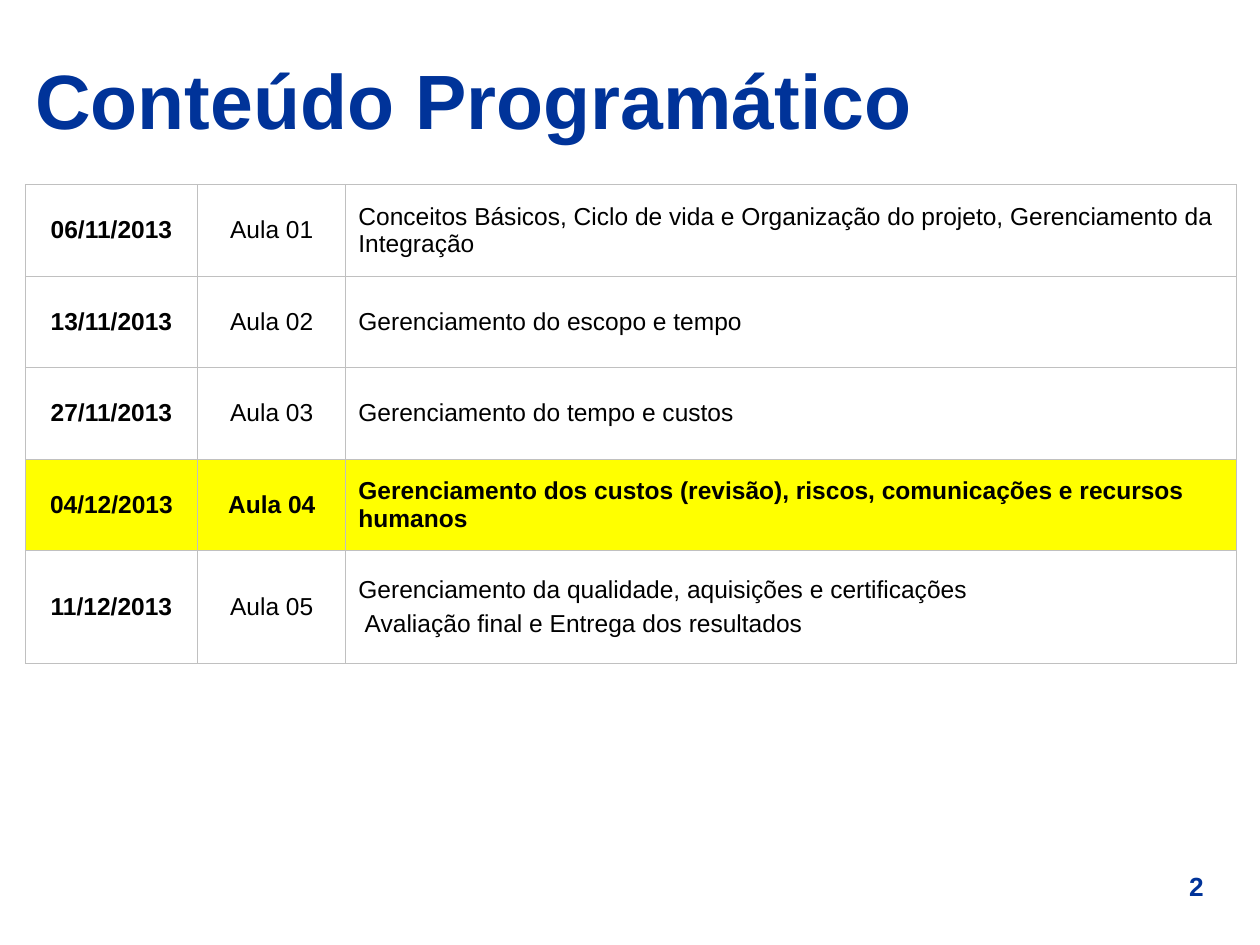
import pptx
import pptx.dml.color
import pptx.enum.text
import pptx.oxml
import pptx.oxml.ns
import pptx.util

ALIGN = pptx.enum.text.PP_ALIGN
MIDDLE = pptx.enum.text.MSO_ANCHOR.MIDDLE

LESSONS = [
    ("06/11/2013", "Aula 01", ["Conceitos Básicos, Ciclo de vida e Organização do projeto, "
                               "Gerenciamento da Integração"]),
    ("13/11/2013", "Aula 02", ["Gerenciamento do escopo e tempo"]),
    ("27/11/2013", "Aula 03", ["Gerenciamento do tempo e custos"]),
    ("04/12/2013", "Aula 04", ["Gerenciamento dos custos (revisão), riscos, comunicações "
                               "e recursos humanos"]),
    ("11/12/2013", "Aula 05", ["Gerenciamento da qualidade, aquisições e certificações",
                               "Avaliação final e Entrega dos resultados"]),
]
CURRENT_LESSON = 3


def color(value):
    return pptx.dml.color.RGBColor.from_string(value)


class SlideBuilder:
    """Style and current slide; lengths are cells of a 100 by 75 grid."""
    font, blue, black = "Arial", "003399", "000000"
    white, highlight, border = "FFFFFF", "FFFF00", "C0C0C0"

    def __init__(self, deck):
        self.cell_size = deck.slide_width / 100
        self.page = deck.slides.add_slide(deck.slide_layouts[5])

    def grid(self, *cells):
        return [pptx.util.Emu(round(cell * self.cell_size)) for cell in cells]

    def format_text(self, frame, size, ink, bold, align, before=0):
        frame.word_wrap = True
        for para in frame.paragraphs:
            para.alignment = align
            para.space_before = pptx.util.Pt(before)
            for span in para.runs:
                span.font.name = self.font
                span.font.size = pptx.util.Pt(size)
                span.font.bold = bold
                span.font.color.rgb = color(ink)

    def title(self, text, *area):
        box = self.page.shapes.title
        box.left, box.top, box.width, box.height = self.grid(*area)
        frame = box.text_frame
        frame.text = text
        frame.auto_size = pptx.enum.text.MSO_AUTO_SIZE.NONE
        frame.vertical_anchor = MIDDLE
        self.format_text(frame, 44, self.blue, True, ALIGN.LEFT)

    def page_number(self, text, *area):
        box = self.page.shapes.add_textbox(*self.grid(*area))
        box.text_frame.text = text
        self.format_text(box.text_frame, 15, self.blue, True, ALIGN.CENTER, 9.4)

    def border_cell(self, cell):
        props = cell._tc.get_or_add_tcPr()
        for position, side in enumerate(("lnL", "lnR", "lnT", "lnB")):
            props.insert(position, pptx.oxml.parse_xml(
                f'<a:{side} {pptx.oxml.ns.nsdecls("a")} w="{pptx.util.Pt(0.45)}">'
                f'<a:solidFill><a:srgbClr val="{self.border}"/></a:solidFill></a:{side}>'))

    def schedule(self, lessons, current, left, top, widths, heights):
        frame = self.page.shapes.add_table(
            len(lessons), len(widths),
            *self.grid(left, top, sum(widths), sum(heights)))
        table = frame.table
        table.first_row = table.horz_banding = False
        for column, width in zip(table.columns, self.grid(*widths)):
            column.width = width
        for row, height in zip(table.rows, self.grid(*heights)):
            row.height = height
        for r, (date, lesson, topics) in enumerate(lessons):
            for c, text in enumerate((date, lesson, "\n".join(topics))):
                cell = table.cell(r, c)
                cell.text_frame.text = text
                cell.vertical_anchor = MIDDLE
                cell.fill.solid()
                cell.fill.fore_color.rgb = color(
                    self.highlight if r == current else self.white)
                self.border_cell(cell)
                self.format_text(cell.text_frame, 14, self.black,
                                 c == 0 or r == current,
                                 ALIGN.LEFT if c == 2 else ALIGN.CENTER, 3.5)
                if c == 2:
                    self.indent(cell.text_frame.paragraphs[1:])

    def indent(self, paras):
        for para in paras:
            para._p.get_or_add_pPr().set("marL", str(self.grid(0.5)[0]))


def main():
    deck = pptx.Presentation()
    deck.slide_width = pptx.util.Inches(10)
    deck.slide_height = pptx.util.Inches(7.5)
    builder = SlideBuilder(deck)
    builder.page_number("2", 91, 68.6, 7.9, 3.5)
    builder.title("Conteúdo Programático", 1.8, 2.8, 96.2, 10.1)
    builder.schedule(LESSONS, CURRENT_LESSON, 2, 14.65,
                     widths=(13.7, 11.75, 70.65), heights=[7.26] * 4 + [8.96])
    deck.save("out.pptx")


if __name__ == "__main__":
    main()
